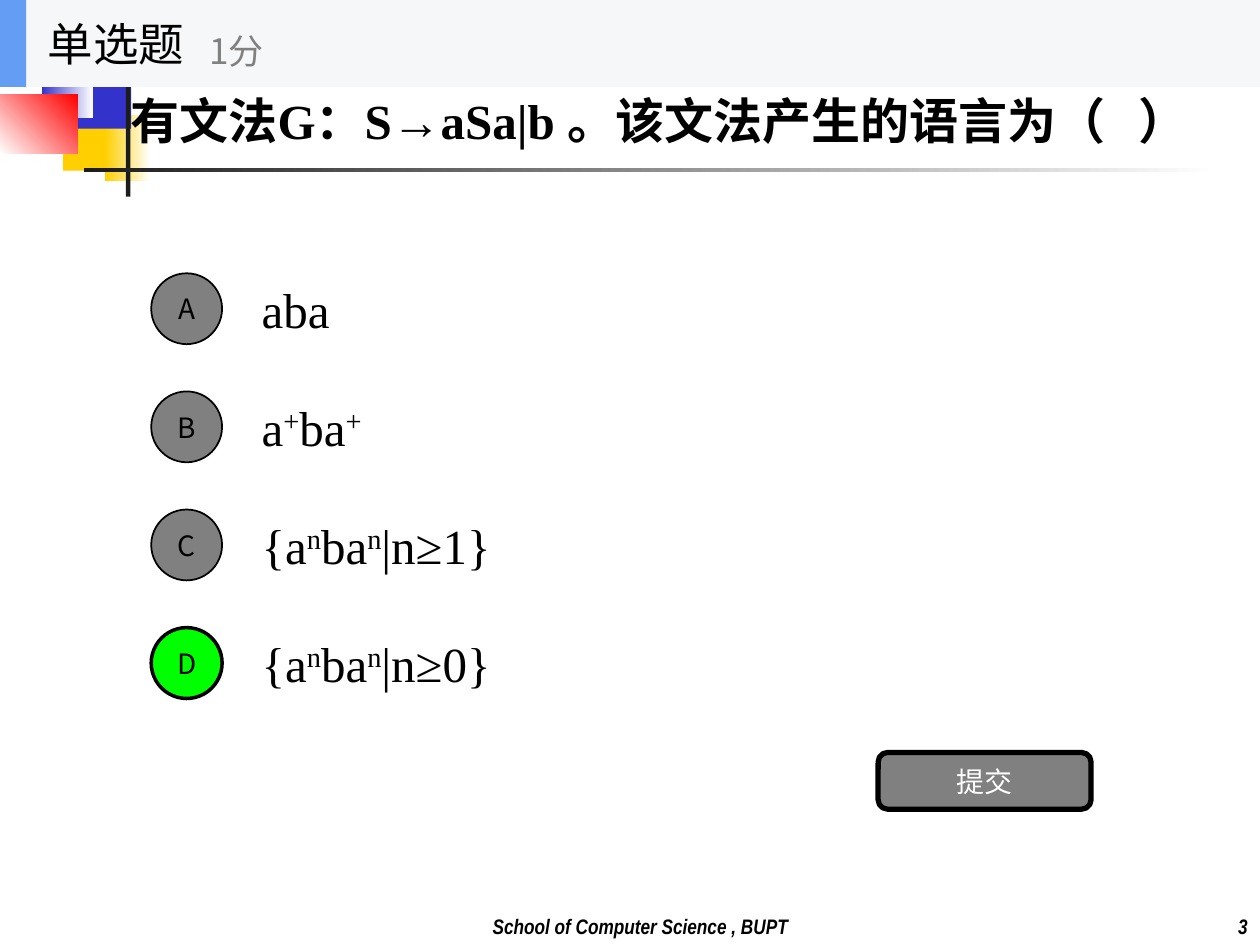
from typing import NamedTuple

from lxml.etree import SubElement
from pptx import Presentation
from pptx.dml.color import RGBColor
from pptx.enum.shapes import MSO_SHAPE as Preset
from pptx.enum.text import MSO_ANCHOR as Anchor, PP_ALIGN as Align
from pptx.oxml.ns import qn
from pptx.util import Pt

SANS = "Noto Sans CJK SC"
SERIF = "Times New Roman"
NARROW = "Arial Narrow"
BLACK, WHITE, GREY, GREEN = "000000", "FFFFFF", "808080", "00FF00"
YELLOW, BLUE, RED, CHARCOAL = "FFCF01", "3333CC", "FF0000", "1C1C1C"


class Box(NamedTuple):
    left: float
    top: float
    width: float
    height: float


class Style(NamedTuple):
    font: str
    size: float
    color: str = BLACK
    bold: bool = False
    italic: bool = False


class Run(NamedTuple):
    text: str
    superscript: bool = False


class Block(NamedTuple):
    """A filled rectangle; with end_color it fades from color to end_color."""
    box: Box
    color: str
    end_color: str = ""
    angle: float = 0


class Option(NamedTuple):
    letter: str
    runs: list[Run]
    correct: bool = False


FOOTER = Style(NARROW, 12, bold=True, italic=True)
QUESTION = Style(SERIF, 28, bold=True)
ANSWER = Style(SERIF, 28)

MASTER_BLOCKS = [
    Block(Box(36, 60, 34.5, 37.5), YELLOW),
    Block(Box(60, 66, 26, 37.5), YELLOW, WHITE),
    Block(Box(42, 36, 33, 37.5), BLUE),
    Block(Box(24, 30, 29, 37.5), BLUE, WHITE),
    Block(Box(0, 54, 44.5, 33.5), WHITE, RED, 45),
    Block(Box(72, 30, 2.5, 82.5), CHARCOAL),
    Block(Box(48, 96, 648, 2.25), CHARCOAL, WHITE),
]
BANNER_BLOCKS = [
    Block(Box(0, 0, 720, 49.7), "F6F7F8"),
    Block(Box(0, 0, 15, 49.7), "639EF4"),
]


def power_runs(opening: str, power: str, closing: str) -> list[Run]:
    """Runs for a language of the form a^power b a^power."""
    return [Run(opening), Run(power, True), Run("ba"), Run(power, True), Run(closing)]


OPTIONS = [
    Option("A", [Run("aba")]),
    Option("B", power_runs("a", "+", "")),
    Option("C", power_runs("{a", "n", "|n≥1}")),
    Option("D", power_runs("{a", "n", "|n≥0}"), correct=True),
]
OPTION_TOP, OPTION_PITCH = 151.2, 67.5
OPTION_HEIGHT, CIRCLE_SIZE = 50.4, 40.5


def rgb(color: str) -> RGBColor:
    return RGBColor.from_string(color)


def lengths(box: Box) -> list[Pt]:
    return [Pt(value) for value in box]


def write(shape, runs: list[Run], style: Style, align=Align.LEFT, anchor=Anchor.MIDDLE,
          line_spacing: float = 1.0) -> None:
    frame = shape.text_frame
    frame.word_wrap = True
    frame.vertical_anchor = anchor
    paragraph = frame.paragraphs[0]
    paragraph.alignment = align
    paragraph.line_spacing = line_spacing
    for item in runs:
        if not item.text:
            continue
        run = paragraph.add_run()
        run.text = item.text
        font = run.font
        font.name, font.size = style.font, Pt(style.size)
        font.bold, font.italic = style.bold, style.italic
        font.color.rgb = rgb(style.color)
        properties = run._r.get_or_add_rPr()
        SubElement(properties, qn("a:ea")).set("typeface", SANS)
        if item.superscript:
            properties.set("baseline", "30000")


def add_text(slide, box: Box, runs: list[Run], style: Style, **layout) -> None:
    write(slide.shapes.add_textbox(*lengths(box)), runs, style, **layout)


def add_preset(slide, preset, box: Box, color: str, line_width: float = 0):
    shape = slide.shapes.add_shape(preset, *lengths(box))
    shape.shadow.inherit = False
    shape.fill.solid()
    shape.fill.fore_color.rgb = rgb(color)
    if line_width:
        shape.line.color.rgb = rgb(BLACK)
        shape.line.width = Pt(line_width)
    else:
        shape.line.fill.background()
    return shape


def add_block(slide, block: Block) -> None:
    shape = add_preset(slide, Preset.RECTANGLE, block.box, block.color)
    if block.end_color:
        shape.fill.gradient()
        shape.fill.gradient_angle = block.angle
        for stop, color in zip(shape.fill.gradient_stops, (block.color, block.end_color)):
            stop.color.rgb = rgb(color)


def add_option(slide, option: Option, top: float) -> None:
    add_text(slide, Box(142.5, top, 504, OPTION_HEIGHT), option.runs, ANSWER)
    circle_top = top + (OPTION_HEIGHT - CIRCLE_SIZE) / 2
    circle = add_preset(slide, Preset.OVAL, Box(86.4, circle_top, CIRCLE_SIZE, CIRCLE_SIZE),
                        GREEN if option.correct else GREY, 2 if option.correct else 1)
    circle.text_frame.margin_left = circle.text_frame.margin_right = 0
    write(circle, [Run(option.letter)], Style(SANS, 16), align=Align.CENTER)


def main() -> None:
    presentation = Presentation()
    presentation.slide_width, presentation.slide_height = Pt(720), Pt(540)
    slide = presentation.slides.add_slide(presentation.slide_layouts[6])

    for block in MASTER_BLOCKS:
        add_block(slide, block)
    add_text(slide, Box(600, 504, 120, 36), [Run("3")], FOOTER,
             align=Align.RIGHT, anchor=Anchor.BOTTOM)
    add_text(slide, Box(114, 504, 504, 36), [Run("School of Computer Science , BUPT")], FOOTER,
             align=Align.CENTER, anchor=Anchor.BOTTOM, line_spacing=1.1)

    add_text(slide, Box(67.7, 28.8, 652.3, 79.2),
             [Run("有文法G：S→aSa|b 。该文法产生的语言为（   ）")], QUESTION)
    for index, option in enumerate(OPTIONS):
        add_option(slide, option, OPTION_TOP + index * OPTION_PITCH)
    button = add_preset(slide, Preset.ROUNDED_RECTANGLE, Box(501.8, 430, 121.7, 32.4), GREY, 3)
    write(button, [Run("提交")], Style(SANS, 16, WHITE), align=Align.CENTER)

    for block in BANNER_BLOCKS:
        add_block(slide, block)
    add_text(slide, Box(20.2, 0, 150, 49.7), [Run("单选题")], Style(SANS, 26))
    add_text(slide, Box(112.5, 8.6, 180, 40.3), [Run("1分")], Style(SANS, 20, GREY))

    presentation.save("out.pptx")


if __name__ == "__main__":
    main()
